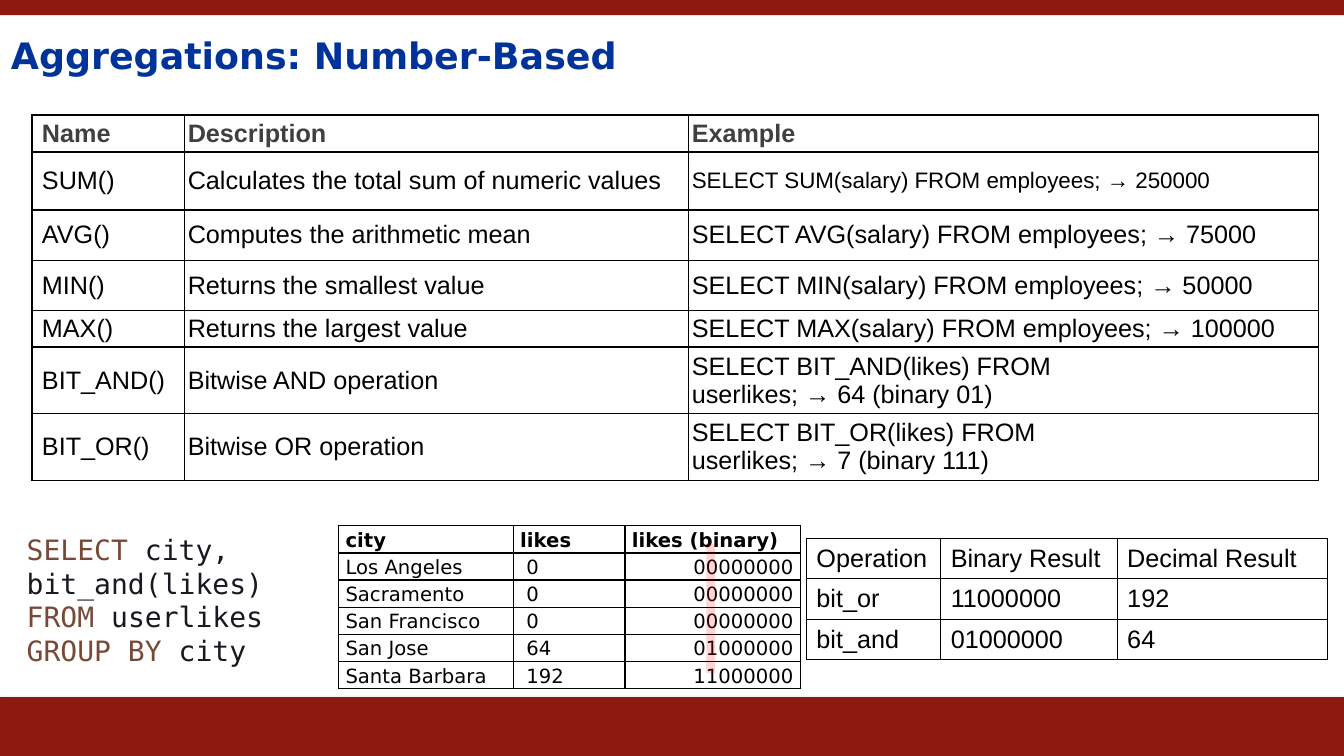
from pptx import Presentation
from pptx.dml.color import RGBColor
from pptx.enum.shapes import MSO_SHAPE
from pptx.enum.text import MSO_ANCHOR, PP_ALIGN
from pptx.oxml import parse_xml
from pptx.oxml.ns import nsdecls, qn
from pptx.util import Inches, Pt

# The slide is a grid of 160 columns by 90 rows, twelve to the inch
WIDE, HIGH = 160, 90
HUES = {"bar": "8D1A11", "title": "003399", "head": "404040", "ink": "000000",
        "key": "794938", "code": "16191F", "mark": "FF0000"}
SANS, MONO, ARIAL = "DejaVu Sans", "DejaVu Sans Mono", "Arial"
HARD = chr(160)  # space that does not break


def unit(n):
    return Inches(n / 12)


def hue(name):
    return RGBColor.from_string(HUES[name])


def style(font, size, face, color=None, bold=False):
    font.size, font.name, font.bold = Pt(size), face, bold
    if color:
        font.color.rgb = hue(color)


def add_bar(slide, x, y, w, h, color, alpha=None, shade=False):
    bar = slide.shapes.add_shape(MSO_SHAPE.RECTANGLE, *map(unit, (x, y, w, h)))
    bar.shadow.inherit = False
    bar.fill.solid()
    bar.fill.fore_color.rgb = hue(color)
    bar.line.fill.background()
    props = bar._element.spPr
    if alpha:
        tint = props.find(qn("a:solidFill"))[0]
        tint.append(parse_xml(f'<a:alpha {nsdecls("a")} val="{alpha * 1000}"/>'))
    if shade:
        props.find(qn("a:effectLst")).append(parse_xml(
            f'<a:outerShdw {nsdecls("a")} blurRad="{Pt(3.1)}" dist="{Pt(1.8)}" dir="5400000">'
            '<a:srgbClr val="000000"><a:alpha val="35000"/></a:srgbClr></a:outerShdw>'))


def add_text(slide, x, y, w, h):
    frame = slide.shapes.add_textbox(*map(unit, (x, y, w, h))).text_frame
    frame.word_wrap = True
    return frame


def add_title(slide, text):
    frame = add_text(slide, 1.3, 2.3, 156.2, 9.5)
    frame.margin_left = frame.margin_top = 0
    frame.vertical_anchor = MSO_ANCHOR.MIDDLE
    para = frame.paragraphs[0]
    para.text, para.line_spacing = text, 0.95
    style(para.font, 26, SANS, "title", True)


def add_code(slide, x, y, w, h, lines):
    frame = add_text(slide, x, y, w, h)
    for i, parts in enumerate(lines):
        para = frame.add_paragraph() if i else frame.paragraphs[0]
        style(para.font, 20, MONO)
        for text, color in zip(parts, ("key", "code")):
            run = para.add_run()
            run.text = text
            run.font.color.rgb = hue(color)


def add_edge(cell):
    props = cell._tc.get_or_add_tcPr()
    for side in "LRTB":
        props.append(parse_xml(
            f'<a:ln{side} {nsdecls("a")} w="{Pt(1)}"><a:solidFill>'
            f'<a:srgbClr val="{HUES["ink"]}"/></a:solidFill></a:ln{side}>'))


def add_grid(slide, x, y, cols, rows, data, size, face, pad=None, head="ink",
             bold=True, anchor=MSO_ANCHOR.MIDDLE):
    """Draw a ruled table; pad maps (row, column) to four insets in inches."""
    grid = slide.shapes.add_table(len(rows), len(cols), *map(
        unit, (x, y, sum(cols), sum(rows)))).table
    grid.first_row = grid.horz_banding = False
    for c, width in enumerate(cols):
        grid.columns[c].width = unit(width)
    for r, height in enumerate(rows):
        grid.rows[r].height = unit(height)
        for c, text in enumerate(data[r]):
            cell = grid.cell(r, c)
            add_edge(cell)
            cell.fill.background()
            cell.vertical_anchor = anchor
            if pad:
                (cell.margin_left, cell.margin_top, cell.margin_right,
                 cell.margin_bottom) = map(Inches, pad(r, c))
            para = cell.text_frame.paragraphs[0]
            para.text = text
            style(para.font, size, face, "ink" if r else head, bold and r == 0)
    return grid


def query(call, source, *result):
    return f"SELECT {call} FROM " + HARD.join((source + ";", "→", *result))


def add_calls(slide):
    data = [
        ("Name", "Description", "Example"),
        ("SUM()", "Calculates the total sum of numeric values",
         query("SUM(salary)", "employees", "250000")),
        ("AVG()", "Computes the arithmetic mean",
         query("AVG(salary)", "employees", "75000")),
        ("MIN()", "Returns the smallest value",
         query("MIN(salary)", "employees", "50000")),
        ("MAX()", "Returns the largest value",
         query("MAX(salary)", "employees", "100000")),
        ("BIT_AND()", "Bitwise AND operation",
         query("BIT_AND(likes)", "userlikes", "64", "(binary", "01)")),
        ("BIT_OR()", "Bitwise OR operation",
         query("BIT_OR(likes)", "userlikes", "7", "(binary", "111)")),
    ]
    grid = add_grid(slide, 3.8, 13.7, (18.2, 60, 75), (4.4, 6.9, 6, 6, 4.2, 7.5, 7.6),
                    data, 18, ARIAL, head="head",
                    pad=lambda r, c: (0.03 if c else 0.1, 0.03, 0.03, 0.03))
    grid.cell(1, 2).text_frame.paragraphs[0].font.size = Pt(16)


def add_likes(slide):
    likes = {"Los Angeles": 0, "Sacramento": 0, "San Francisco": 0,
             "San Jose": 64, "Santa Barbara": 192}
    data = [("city", "likes", "likes (binary)")]
    data += [(city, str(n), f"{n:08b}") for city, n in likes.items()]
    grid = add_grid(slide, 40.3, 62.6, (20.8, 13.3, 20.9), [3.23] * len(data),
                    data, 14, SANS, anchor=MSO_ANCHOR.TOP,
                    pad=lambda r, c: (0.13 if r and c == 1 else 0.07, 0, 0.07, 0))
    for r in range(len(data)):
        for c in range(3):
            para = grid.cell(r, c).text_frame.paragraphs[0]
            para.line_spacing, para.space_after = 1.15, Pt(8)
            if r and c == 2:
                para.alignment = PP_ALIGN.RIGHT


def main():
    deck = Presentation()
    deck.slide_width, deck.slide_height = unit(WIDE), unit(HIGH)
    slide = deck.slides.add_slide(deck.slide_layouts[6])

    # Frame and title
    add_bar(slide, 0, 83, WIDE, 7, "bar", shade=True)
    add_bar(slide, 0, 0, WIDE, 1.8, "bar")
    add_title(slide, "Aggregations: Number-Based")

    # Functions
    add_calls(slide)

    # Worked example: query, data with the shared bit marked, results
    add_code(slide, 2, 62.8, 39, 13.3, [("SELECT", " city, bit_and(likes)"),
                                        ("FROM ", "userlikes"),
                                        ("GROUP BY", " city")])
    add_likes(slide)
    add_bar(slide, 84.1, 64.7, 1, 15.4, "mark", alpha=16)
    add_grid(slide, 96, 64.1, (16, 21, 25), [4.8] * 3,
             [("Operation", "Binary Result", "Decimal Result"),
              ("bit_or", "11000000", "192"),
              ("bit_and", "01000000", "64")], 18, ARIAL, bold=False)

    deck.save("out.pptx")


if __name__ == "__main__":
    main()
